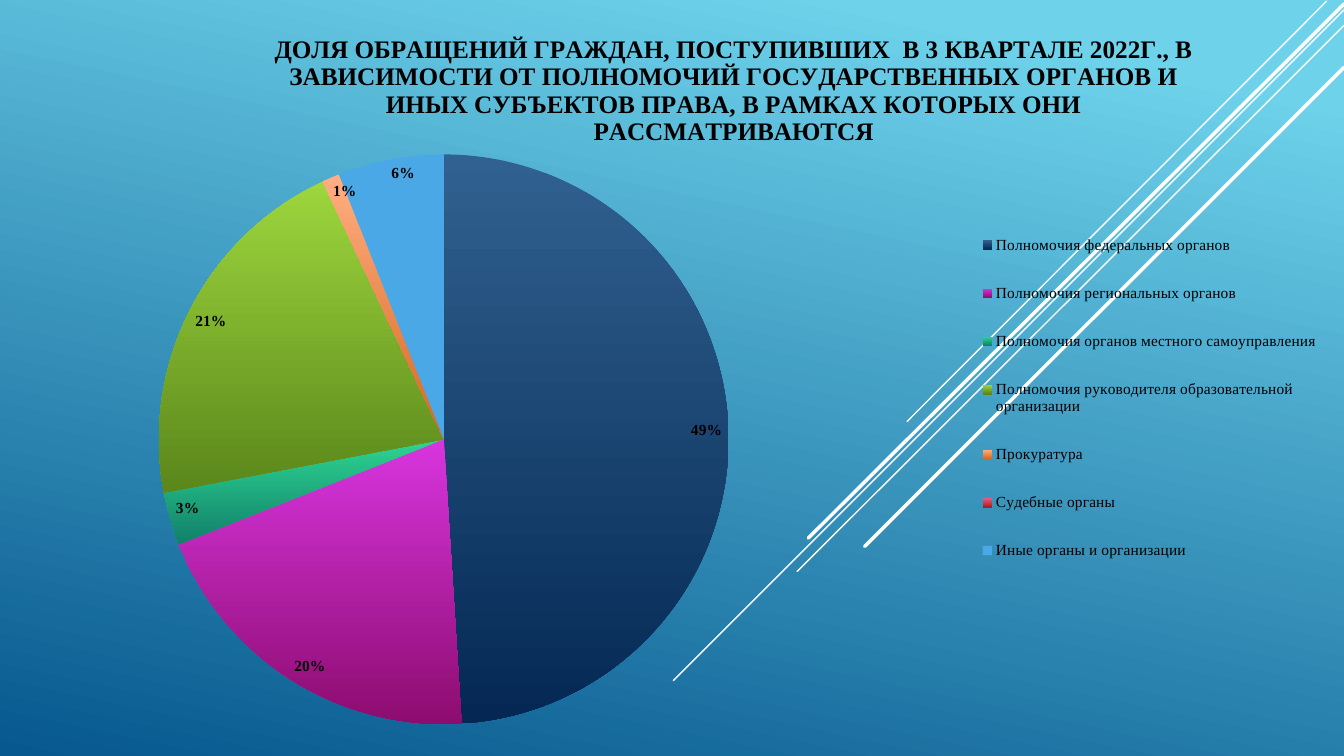
from dataclasses import dataclass

from lxml import etree
from pptx import Presentation
from pptx import util as u
from pptx.chart.data import CategoryChartData
from pptx.dml.color import RGBColor
from pptx.dml.fill import FillFormat
from pptx.enum import chart as ch
from pptx.enum import shapes
from pptx.oxml.ns import qn
from pptx.text.text import Font

FONT = "Times New Roman"
BLACK = RGBColor(0x00, 0x00, 0x00)
WHITE = RGBColor(0xFF, 0xFF, 0xFF)
SKY = RGBColor(0x6E, 0xD2, 0xEB)
DEEP_BLUE = RGBColor(0x06, 0x58, 0x8E)
NAVY_LIGHT = RGBColor(0x31, 0x61, 0x90)
NAVY_DARK = RGBColor(0x04, 0x28, 0x53)
MAGENTA_LIGHT = RGBColor(0xD8, 0x35, 0xDF)
MAGENTA_DARK = RGBColor(0x8D, 0x0C, 0x6F)
GREEN_LIGHT = RGBColor(0x2E, 0xD5, 0x92)
GREEN_DARK = RGBColor(0x11, 0x80, 0x6A)
LIME_LIGHT = RGBColor(0x9D, 0xD6, 0x3D)
LIME_DARK = RGBColor(0x5B, 0x87, 0x1B)
ORANGE_LIGHT = RGBColor(0xFF, 0xAE, 0x82)
ORANGE_DARK = RGBColor(0xD7, 0x68, 0x1F)
RED_LIGHT = RGBColor(0xE6, 0x60, 0x91)
RED_DARK = RGBColor(0xAA, 0x1E, 0x1F)
BLUE = RGBColor(0x4A, 0xA8, 0xE7)

TITLE = (
    "ДОЛЯ ОБРАЩЕНИЙ ГРАЖДАН, ПОСТУПИВШИХ  В 3 КВАРТАЛЕ 2022Г., "
    "В ЗАВИСИМОСТИ ОТ ПОЛНОМОЧИЙ ГОСУДАРСТВЕННЫХ ОРГАНОВ И ИНЫХ СУБЪЕКТОВ ПРАВА, "
    "В РАМКАХ КОТОРЫХ ОНИ РАССМАТРИВАЮТСЯ"
)


@dataclass(frozen=True)
class Ray:
    x1: float
    y1: float
    x2: float
    y2: float
    weight: float


@dataclass(frozen=True)
class Sector:
    name: str
    share: int | None
    top: RGBColor
    bottom: RGBColor | None = None


RAYS = [
    Ray(33.43, 0.03, 22.86, 10.62, 1),
    Ray(33.87, 0.25, 16.97, 17.15, 1),
    Ray(33.87, 0.64, 20.09, 14.4, 1),
    Ray(33.87, 0.1, 20.37, 13.56, 2.5),
    Ray(33.87, 1.7, 21.79, 13.77, 2.5),
]

SECTORS = [
    Sector("Полномочия федеральных органов", 49, NAVY_LIGHT, NAVY_DARK),
    Sector("Полномочия региональных органов", 20, MAGENTA_LIGHT, MAGENTA_DARK),
    Sector("Полномочия органов местного самоуправления", 3, GREEN_LIGHT, GREEN_DARK),
    Sector("Полномочия руководителя образовательной организации", 21, LIME_LIGHT, LIME_DARK),
    Sector("Прокуратура", 1, ORANGE_LIGHT, ORANGE_DARK),
    Sector("Судебные органы", None, RED_LIGHT, RED_DARK),
    Sector("Иные органы и организации", 6, BLUE),
]


def fill_gradient(fill: FillFormat, start: RGBColor, end: RGBColor,
                  clockwise: float, offset: float = 0) -> None:
    fill.gradient()
    fill.gradient_angle = 360 - clockwise
    for stop, color, position in zip(fill.gradient_stops, (start, end), (offset, 1)):
        stop.color.rgb = color
        stop.position = position


def style_font(font: Font, size: float, bold: bool = False) -> None:
    font.name = FONT
    font.size = u.Pt(size)
    font.bold = bold
    font.color.rgb = BLACK


def place(element, index: int, x: float, y: float, w: float, h: float,
          inner: bool = False) -> None:
    for old in element.findall(qn("c:layout")):
        element.remove(old)
    layout = etree.Element(qn("c:layout"))
    manual = etree.SubElement(layout, qn("c:manualLayout"))
    target = [("layoutTarget", "inner")] if inner else []
    for tag, value in target + [("xMode", "edge"), ("yMode", "edge"),
                                ("x", x), ("y", y), ("w", w), ("h", h)]:
        etree.SubElement(manual, qn(f"c:{tag}")).set("val", str(value))
    element.insert(index, layout)


def draw_ray(page, ray: Ray) -> None:
    line = page.shapes.add_connector(
        shapes.MSO_CONNECTOR.STRAIGHT,
        u.Cm(ray.x1), u.Cm(ray.y1), u.Cm(ray.x2), u.Cm(ray.y2))
    line.line.color.rgb = WHITE
    line.line.width = u.Pt(ray.weight)
    properties = line._element.spPr
    properties.find(qn("a:ln")).set("cap", "rnd")
    etree.SubElement(properties, qn("a:effectLst"))


def draw_pie(page) -> None:
    data = CategoryChartData()
    data.categories = [sector.name for sector in SECTORS]
    data.add_series("Series 1", [sector.share for sector in SECTORS])
    chart = page.shapes.add_chart(
        ch.XL_CHART_TYPE.PIE, u.Cm(3.3), u.Cm(0.23), u.Cm(30.38), u.Cm(18.31), data).chart
    style_font(chart.font, 10)

    chart.has_title = True
    chart.chart_title.include_in_layout = False
    heading = chart.chart_title.text_frame
    heading.text = TITLE
    style_font(heading.paragraphs[0].font, 18, bold=True)

    chart.has_legend = True
    legend = chart.legend
    legend.position = ch.XL_LEGEND_POSITION.BOTTOM
    legend.include_in_layout = False
    style_font(legend.font, 11)
    place(legend._element, 1, 0.7, 0.27, 0.29, 0.53)

    plot = chart.plots[0]
    plot.vary_by_categories = True
    place(plot._element.getparent(), 0, 0.023, 0.2, 0.473, 0.784, inner=True)
    plot.has_data_labels = True
    labels = plot.data_labels
    labels.show_value = False
    labels.show_percentage = True
    labels.number_format = "0%"
    labels.number_format_is_linked = False
    labels.position = ch.XL_LABEL_POSITION.INSIDE_END
    style_font(labels.font, 11, bold=True)

    for index, sector in enumerate(SECTORS):
        style = plot.series[0].points[index].format
        style.line.fill.background()
        if sector.bottom is None:
            style.fill.solid()
            style.fill.fore_color.rgb = sector.top
        else:
            fill_gradient(style.fill, sector.top, sector.bottom, 90)


def main() -> None:
    deck = Presentation()
    deck.slide_width, deck.slide_height = u.Cm(33.87), u.Cm(19.05)
    page = deck.slides.add_slide(deck.slide_layouts[6])
    fill_gradient(page.background.fill, SKY, DEEP_BLUE, 102, offset=0.1)
    for ray in RAYS:
        draw_ray(page, ray)
    draw_pie(page)
    deck.save("out.pptx")


if __name__ == "__main__":
    main()
